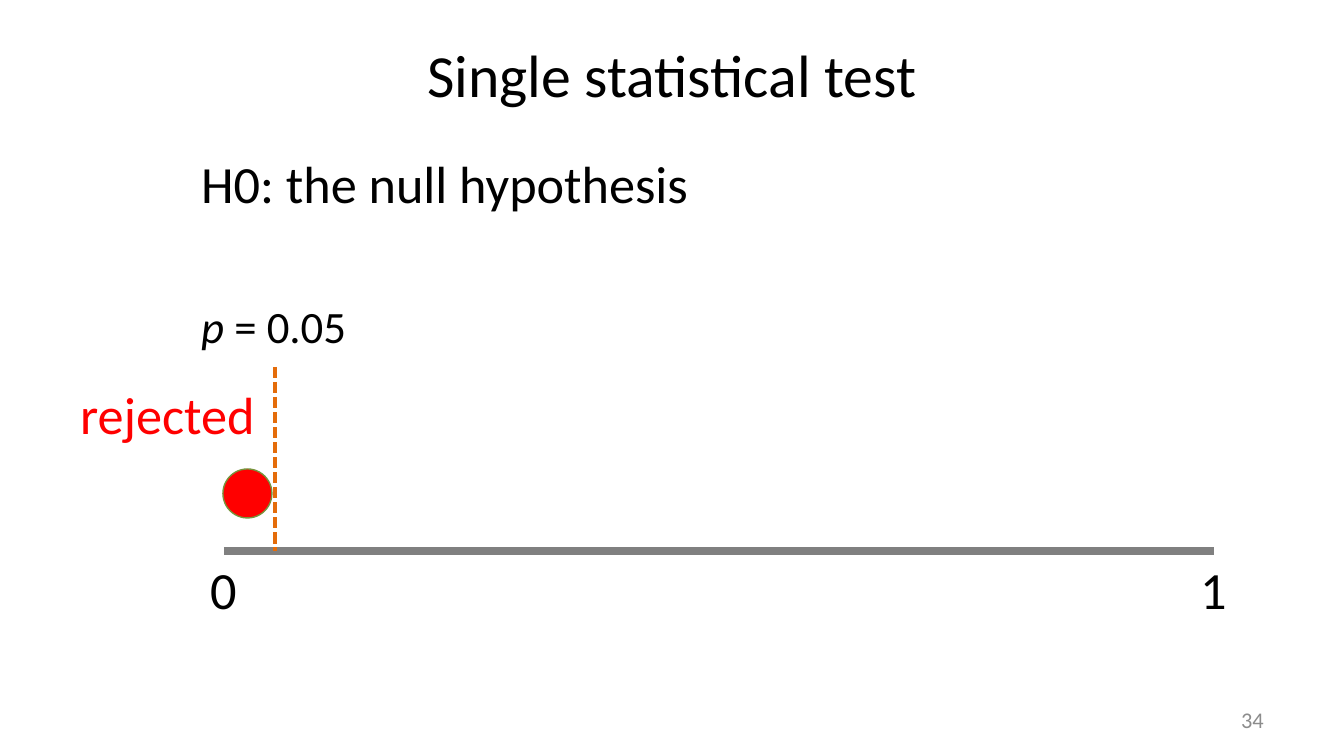
from pptx import Presentation
from pptx.dml.color import RGBColor
from pptx.enum.dml import MSO_LINE
from pptx.enum.shapes import MSO_CONNECTOR, MSO_SHAPE
from pptx.enum.text import MSO_ANCHOR, PP_ALIGN
from pptx.oxml.ns import qn
from pptx.util import Emu, Pt
from lxml.etree import SubElement

SCALE = 914400 / 134.4


def px(n):
    return Emu(round(n * SCALE))


def color(value):
    return RGBColor.from_string(value)


def add_run(p, text, font="Calibri", size=28, fill="000000", italic=False):
    r = p.add_run()
    r.text = text
    r.font.name = font
    r.font.size = Pt(size)
    r.font.italic = italic
    r.font.color.rgb = color(fill)


class Canvas:
    ink = "000000"
    gray = "808080"
    red = "FF0000"
    green = "77933C"
    orange = "E46C0A"
    muted = "8C8C8C"

    def __init__(self, prs):
        self.s = prs.slides.add_slide(prs.slide_layouts[6])

    def text(self, x, y, w, h, text, align=PP_ALIGN.LEFT,
             anchor=MSO_ANCHOR.TOP, wrap=False, **style):
        sp = self.s.shapes.add_textbox(px(x), px(y), px(w), px(h))
        tf = sp.text_frame
        tf.word_wrap = wrap
        tf.vertical_anchor = anchor
        p = tf.paragraphs[0]
        p.alignment = align
        add_run(p, text, **style)
        return p

    def line(self, x1, y1, x2, y2, fill, width, dash=None):
        sp = self.s.shapes.add_connector(
            MSO_CONNECTOR.STRAIGHT, px(x1), px(y1), px(x2), px(y2))
        sp.line.color.rgb = color(fill)
        sp.line.width = Pt(width)
        if dash:
            sp.line.dash_style = dash
        SubElement(sp._element.spPr, qn("a:effectLst"))

    def dot(self, x, y, d, fill, outline):
        sp = self.s.shapes.add_shape(MSO_SHAPE.OVAL, px(x), px(y), px(d), px(d))
        sp.shadow.inherit = False
        sp.fill.solid()
        sp.fill.fore_color.rgb = color(fill)
        sp.line.color.rgb = color(outline)
        sp.line.width = Pt(0.75)


def main():
    prs = Presentation()
    prs.slide_width, prs.slide_height = px(1344), px(756)
    c = Canvas(prs)

    c.text(67, 7, 1210, 133, "Single statistical test", PP_ALIGN.CENTER,
           MSO_ANCHOR.MIDDLE, wrap=True, size=32)

    axis_y, axis_left, axis_right = 551, 224, 1214
    c.line(axis_left, axis_y, axis_right, axis_y, c.gray, 4.5)
    for x, label in ((axis_left, "0"), (axis_right, "1")):
        c.text(x - 27, axis_y, 54, 77, label)

    c.dot(223, 469, 49, c.red, c.green)
    c.line(275, 367, 275, axis_y, c.orange, 2, MSO_LINE.SQUARE_DOT)
    p = c.text(188, 292, 176, 67, "p", size=24, italic=True)
    add_run(p, " = 0.05", size=24)

    c.text(964, 700, 313, 40, "34", PP_ALIGN.RIGHT, MSO_ANCHOR.MIDDLE,
           wrap=True, size=12, fill=c.muted)
    c.text(67, 376, 204, 77, "rejected", fill=c.red)
    c.text(188, 145, 520, 77, "H0: the null hypothesis")

    prs.save("out.pptx")


if __name__ == "__main__":
    main()
